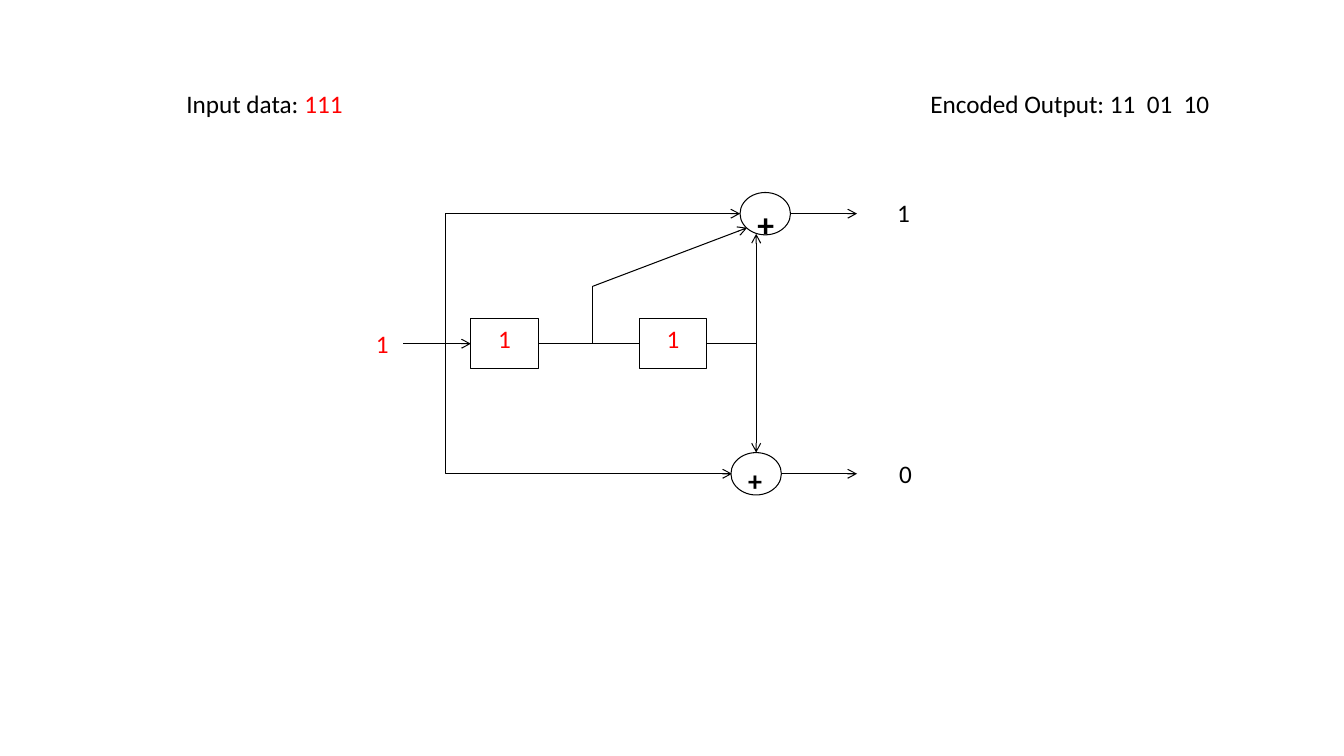
import lxml.etree
import pptx
import pptx.dml.color
import pptx.enum.shapes
import pptx.enum.text
import pptx.oxml.ns
import pptx.util

Inches = pptx.util.Inches
SHAPE = pptx.enum.shapes.MSO_SHAPE
CONNECTOR = pptx.enum.shapes.MSO_CONNECTOR
ALIGN = pptx.enum.text.PP_ALIGN
BLACK, WHITE, RED = "000000", "FFFFFF", "FF0000"
qn = pptx.oxml.ns.qn


def rgb(color):
    return pptx.dml.color.RGBColor.from_string(color)


def add_text(s, text, size=18, color=BLACK, bold=False, align=ALIGN.LEFT, wrap=True):
    """Append a run to the first paragraph of a shape."""
    tf = s.text_frame
    tf.word_wrap = wrap
    tf.vertical_anchor = pptx.enum.text.MSO_ANCHOR.TOP
    p = tf.paragraphs[0]
    p.alignment = align
    r = p.add_run()
    r.text = text
    r.font.name = "Calibri"
    r.font.size = pptx.util.Pt(size)
    r.font.bold = bold
    r.font.color.rgb = rgb(color)


prs = pptx.Presentation()
prs.slide_width, prs.slide_height = Inches(13.33), Inches(7.5)
slide = prs.slides.add_slide(prs.slide_layouts[6])

TOP_Y, MIDDLE_Y, BOTTOM_Y = 2.12, 3.41, 4.7
INPUT_X, TAP_X, OUTPUT_X, JOIN_X = 4.42, 5.88, 8.5, 7.5

# Wires: kind, start, end, arrowheads
straight, elbow = CONNECTOR.STRAIGHT, CONNECTOR.ELBOW
wires = [
    (straight, (4, MIDDLE_Y), (4.67, MIDDLE_Y), ["tailEnd"]),
    (straight, (5.34, MIDDLE_Y), (6.34, MIDDLE_Y), []),
    (straight, (7, MIDDLE_Y), (JOIN_X, MIDDLE_Y), []),
    (elbow, (INPUT_X, MIDDLE_Y), (7.34, TOP_Y), ["tailEnd"]),
    (elbow, (INPUT_X, MIDDLE_Y), (7.26, BOTTOM_Y), ["tailEnd"]),
    (straight, (JOIN_X, 2.32), (JOIN_X, 4.49), ["headEnd", "tailEnd"]),
    (straight, (TAP_X, 2.84), (TAP_X, MIDDLE_Y), []),
    (straight, (TAP_X, 2.84), (7.41, 2.26), ["tailEnd"]),
    (straight, (7.75, TOP_Y), (OUTPUT_X, TOP_Y), ["tailEnd"]),
    (straight, (7.75, BOTTOM_Y), (OUTPUT_X, BOTTOM_Y), ["tailEnd"]),
]
for kind, start, end, heads in wires:
    wire = slide.shapes.add_connector(kind, *(Inches(v) for v in start + end))
    wire.line.color.rgb = rgb(BLACK)
    wire.line.width = pptx.util.Pt(0.75)
    sp_pr = wire._element.spPr
    for head in heads:
        lxml.etree.SubElement(sp_pr.find(qn("a:ln")), qn(f"a:{head}"), type="arrow")
    lxml.etree.SubElement(sp_pr, qn("a:effectLst"))
    if kind == elbow:  # turn right at the start point
        guides = sp_pr.find(qn("a:prstGeom")).find(qn("a:avLst"))
        lxml.etree.SubElement(guides, qn("a:gd"), name="adj1", fmla="val 0")

# Shift registers and adders
nodes = [
    (SHAPE.RECTANGLE, 4.67, 3.16, 0.67, 0.5, "1", dict(color=RED, align=ALIGN.CENTER)),
    (SHAPE.RECTANGLE, 6.34, 3.16, 0.67, 0.5, "1", dict(color=RED, align=ALIGN.CENTER)),
    (SHAPE.FLOWCHART_CONNECTOR, 7.34, 1.91, 0.5, 0.42, "+", dict(size=24, bold=True)),
    (SHAPE.FLOWCHART_CONNECTOR, 7.25, 4.49, 0.5, 0.42, "+", dict(size=20, bold=True)),
]
for kind, x, y, w, h, text, style in nodes:
    node = slide.shapes.add_shape(kind, Inches(x), Inches(y), Inches(w), Inches(h))
    node.shadow.inherit = False
    node.fill.solid()
    node.fill.fore_color.rgb = rgb(WHITE)
    node.line.color.rgb = rgb(BLACK)
    node.line.width = pptx.util.Pt(0.75)
    add_text(node, text, **style)

# Labels: left, top, width, wrap, runs
labels = [
    (1.75, 0.83, 3.17, True, [("Input data: ", BLACK), ("111", RED)]),
    (9.13, 0.83, 3.06, False, [("Encoded Output: 11  01  10", BLACK)]),
    (3.63, 3.21, 0.33, False, [("1", RED)]),
    (8.8, 1.91, 0.33, False, [("1", BLACK)]),
    (8.82, 4.5, 0.33, False, [("0", BLACK)]),
]
for x, y, w, wrap, runs in labels:
    label = slide.shapes.add_textbox(Inches(x), Inches(y), Inches(w), Inches(0.4))
    for text, color in runs:
        add_text(label, text, color=color, wrap=wrap)

prs.save("out.pptx")
